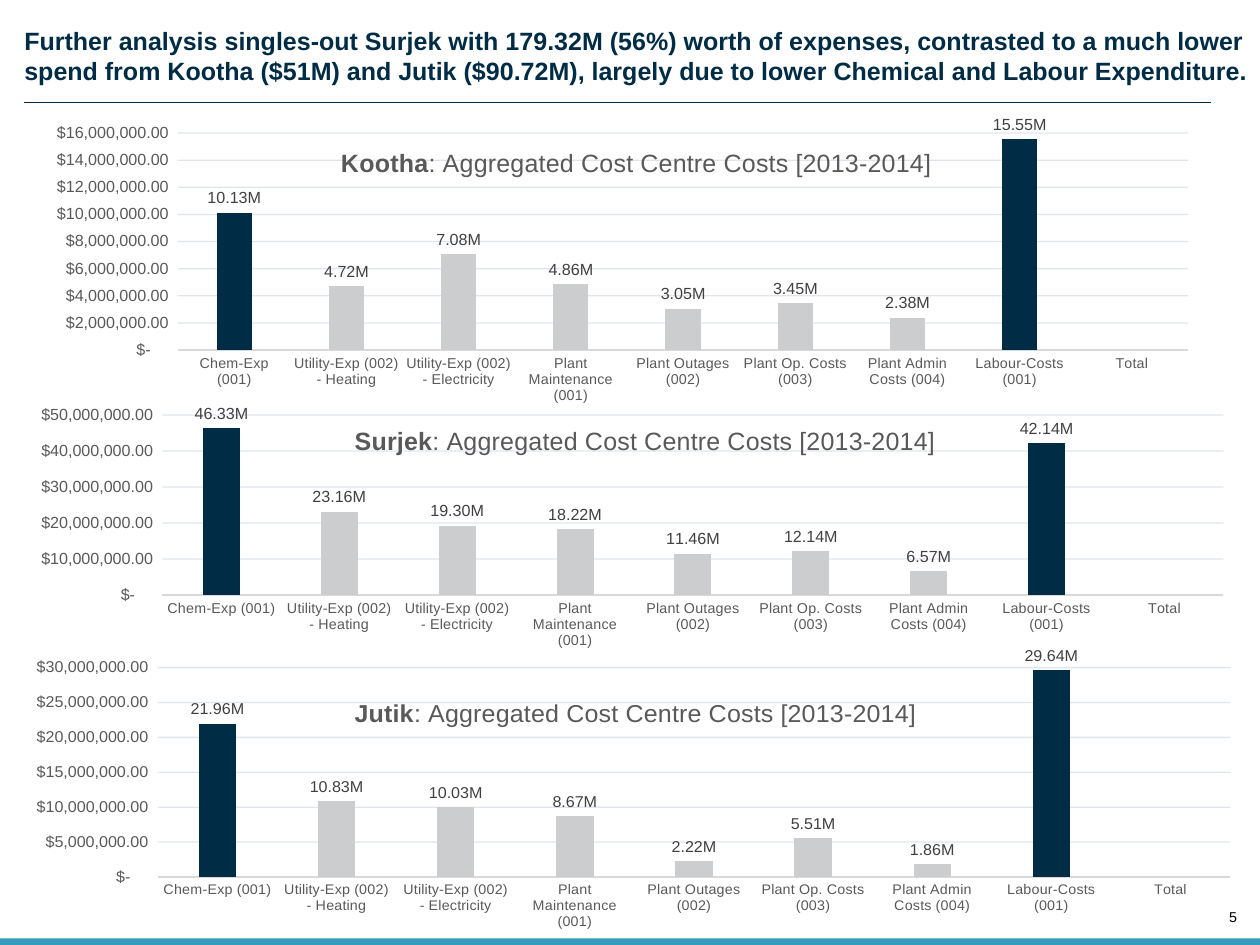
from dataclasses import dataclass
from typing import NamedTuple, Optional

from lxml import etree
from pptx import Presentation
from pptx import util as u
from pptx.chart.data import CategoryChartData
from pptx.dml.color import RGBColor
from pptx.enum import chart as ch, shapes, text
from pptx.oxml import parse_xml
from pptx.oxml.ns import nsdecls, qn

NAVY, GREY, AXIS_TEXT = "002C46", "CCCDCF", "595959"
FONT = "Arial"
CATEGORIES = [
    "Chem-Exp (001)", "Utility-Exp (002) - Heating",
    "Utility-Exp (002) - Electricity", "Plant Maintenance (001)",
    "Plant Outages (002)", "Plant Op. Costs (003)",
    "Plant Admin Costs (004)", "Labour-Costs (001)", "Total",
]
HIGHLIGHTED = [CATEGORIES.index("Chem-Exp (001)"),
               CATEGORIES.index("Labour-Costs (001)")]
DOLLARS = '_("$"* #,##0.00_);_("$"* \\(#,##0.00\\);_("$"* "-"??_);_(@_)'
HEADLINE = (
    "Further analysis singles-out Surjek with 179.32M (56%) worth of expenses, "
    "contrasted to a much lower spend from Kootha ($51M) and Jutik ($90.72M), "
    "largely due to lower Chemical and Labour Expenditure."
)


class Box(NamedTuple):
    x: float
    y: float
    w: float
    h: float

    def lengths(self) -> list:
        return [u.Cm(v) for v in self]


@dataclass
class SiteChart:
    site: str
    frame: Box
    plot: Box
    title_at: tuple[float, float]
    millions: list[float]
    axis_max: Optional[float] = None


SITES = [
    SiteChart("Kootha", Box(0.71, 2.11, 23.22, 6.25), Box(3.52, 2.63, 19.95, 4.29),
              (6.66, 2.84), [10.13, 4.72, 7.08, 4.86, 3.05, 3.45, 2.38, 15.55], 16e6),
    SiteChart("Surjek", Box(0.33, 7.9, 24.23, 5.44), Box(3.21, 8.2, 20.96, 3.56),
              (6.93, 8.32), [46.33, 23.16, 19.3, 18.22, 11.46, 12.14, 6.57, 42.14]),
    SiteChart("Jutik", Box(0.23, 12.78, 24.46, 5.66), Box(3.12, 13.06, 21.18, 4.24),
              (6.93, 13.59), [21.96, 10.83, 10.03, 8.67, 2.22, 5.51, 1.86, 29.64], 30e6),
]


def rgb(value: str) -> RGBColor:
    return RGBColor.from_string(value)


def style(font, size: float, color: str, bold: bool = False) -> None:
    font.name, font.size, font.bold = FONT, u.Pt(size), bold
    font.color.rgb = rgb(color)


def zero_margins(tf) -> None:
    tf.margin_left = tf.margin_top = tf.margin_right = tf.margin_bottom = 0


def place(parent, index: int, frame: Box, x: float, y: float,
          w: Optional[float] = None, h: Optional[float] = None) -> None:
    for old in parent.findall(qn("c:layout")):
        parent.remove(old)
    tags = [("xMode", "edge"), ("yMode", "edge"),
            ("x", (x - frame.x) / frame.w), ("y", (y - frame.y) / frame.h)]
    if w and h:
        tags = [("layoutTarget", "inner")] + tags + [("w", w / frame.w), ("h", h / frame.h)]
    body = "".join(f'<c:{tag} val="{val}"/>' for tag, val in tags)
    parent.insert(index, parse_xml(
        f'<c:layout {nsdecls("c")}><c:manualLayout>{body}</c:manualLayout></c:layout>'))


def add_headline(s) -> None:
    sp = s.shapes.title
    sp.left, sp.top, sp.width, sp.height = Box(0.48, 0.51, 24.28, 1.19).lengths()
    tf = sp.text_frame
    tf.text = HEADLINE
    tf.word_wrap = True
    tf.auto_size = text.MSO_AUTO_SIZE.NONE
    tf.vertical_anchor = text.MSO_ANCHOR.TOP
    zero_margins(tf)
    p = tf.paragraphs[0]
    p.alignment = text.PP_ALIGN.LEFT
    style(p.runs[0].font, 14, NAVY, True)

    rule = s.shapes.add_connector(shapes.MSO_CONNECTOR.STRAIGHT,
                                  u.Cm(0.48), u.Cm(2.03), u.Cm(23.93), u.Cm(2.03))
    rule.line.color.rgb = rgb(NAVY)
    rule.line.width = u.Pt(0.75)
    etree.SubElement(rule._element.spPr, qn("a:effectLst"))


def add_footer(s) -> None:
    number = s.shapes.add_textbox(*Box(24.08, 17.96, 0.36, 0.33).lengths())
    tf = number.text_frame
    tf.text = "5"
    tf.word_wrap = False
    tf.vertical_anchor = text.MSO_ANCHOR.BOTTOM
    zero_margins(tf)
    p = tf.paragraphs[0]
    p.alignment = text.PP_ALIGN.RIGHT
    style(p.runs[0].font, 8, "000000")

    bar = s.shapes.add_shape(shapes.MSO_SHAPE.RECTANGLE,
                             *Box(0, 18.54, 24.89, 0.13).lengths())
    bar.shadow.inherit = False
    bar.fill.solid()
    bar.fill.fore_color.rgb = rgb("379BBD")
    bar.line.fill.background()


def add_title(chart, site: SiteChart) -> None:
    p = chart.chart_title.text_frame.paragraphs[0]
    for words, bold in ((site.site, True),
                        (": Aggregated Cost Centre Costs [2013-2014]", False)):
        r = p.add_run()
        r.text = words
        style(r.font, 14, AXIS_TEXT, bold)
    title = chart.element.xpath("c:chart/c:title")[0]
    place(title, 1, site.frame, *site.title_at)
    title.find(qn("c:overlay")).set("val", "1")


def format_axes(chart, axis_max: Optional[float]) -> None:
    for axis, size in ((chart.category_axis, 8), (chart.value_axis, 9)):
        axis.major_tick_mark = axis.minor_tick_mark = ch.XL_TICK_MARK.NONE
        style(axis.tick_labels.font, size, AXIS_TEXT)
    base = chart.category_axis.format.line
    base.color.rgb = rgb("D9D9D9")
    base.width = u.Pt(0.75)

    costs = chart.value_axis
    costs.format.line.fill.background()
    costs.minimum_scale = 0
    if axis_max:
        costs.maximum_scale = axis_max
    costs.tick_labels.number_format = DOLLARS
    costs.tick_labels.number_format_is_linked = False
    costs.has_major_gridlines = True
    grid = costs.major_gridlines.format.line
    grid.color.rgb = rgb("99AABE")
    grid.width = u.Pt(0.75)
    for clr in chart.element.xpath(".//c:majorGridlines//a:srgbClr"):
        etree.SubElement(clr, qn("a:alpha")).set("val", "30000")


def format_columns(chart) -> None:
    plot = chart.plots[0]
    plot.gap_width, plot.overlap, plot.vary_by_categories = 219, -27, False
    series = plot.series[0]
    series.invert_if_negative = False
    series.format.fill.solid()
    series.format.fill.fore_color.rgb = rgb(GREY)
    for i in HIGHLIGHTED:
        fill = series.points[i].format.fill
        fill.solid()
        fill.fore_color.rgb = rgb(NAVY)
    labels = series.data_labels
    labels.show_value = True
    labels.position = ch.XL_LABEL_POSITION.OUTSIDE_END
    labels.number_format = '0.00,,"M"'
    labels.number_format_is_linked = False
    style(labels.font, 9, "404040")


def add_site_chart(s, site: SiteChart) -> None:
    data = CategoryChartData()
    data.categories = CATEGORIES
    data.add_series("Series 1", [round(m * 1e6) for m in site.millions] + [None])
    chart = s.shapes.add_chart(ch.XL_CHART_TYPE.COLUMN_CLUSTERED,
                               *site.frame.lengths(), data).chart
    chart.has_legend = False
    style(chart.font, 10, "000000")
    add_title(chart, site)
    format_axes(chart, site.axis_max)
    format_columns(chart)
    place(chart.element.xpath("c:chart/c:plotArea")[0], 0, site.frame, *site.plot)


def main() -> None:
    prs = Presentation()
    prs.slide_width, prs.slide_height = u.Cm(24.89), u.Cm(18.67)
    s = prs.slides.add_slide(prs.slide_layouts[5])
    add_footer(s)
    add_headline(s)
    for site in SITES:
        add_site_chart(s, site)
    prs.save("out.pptx")


if __name__ == "__main__":
    main()
